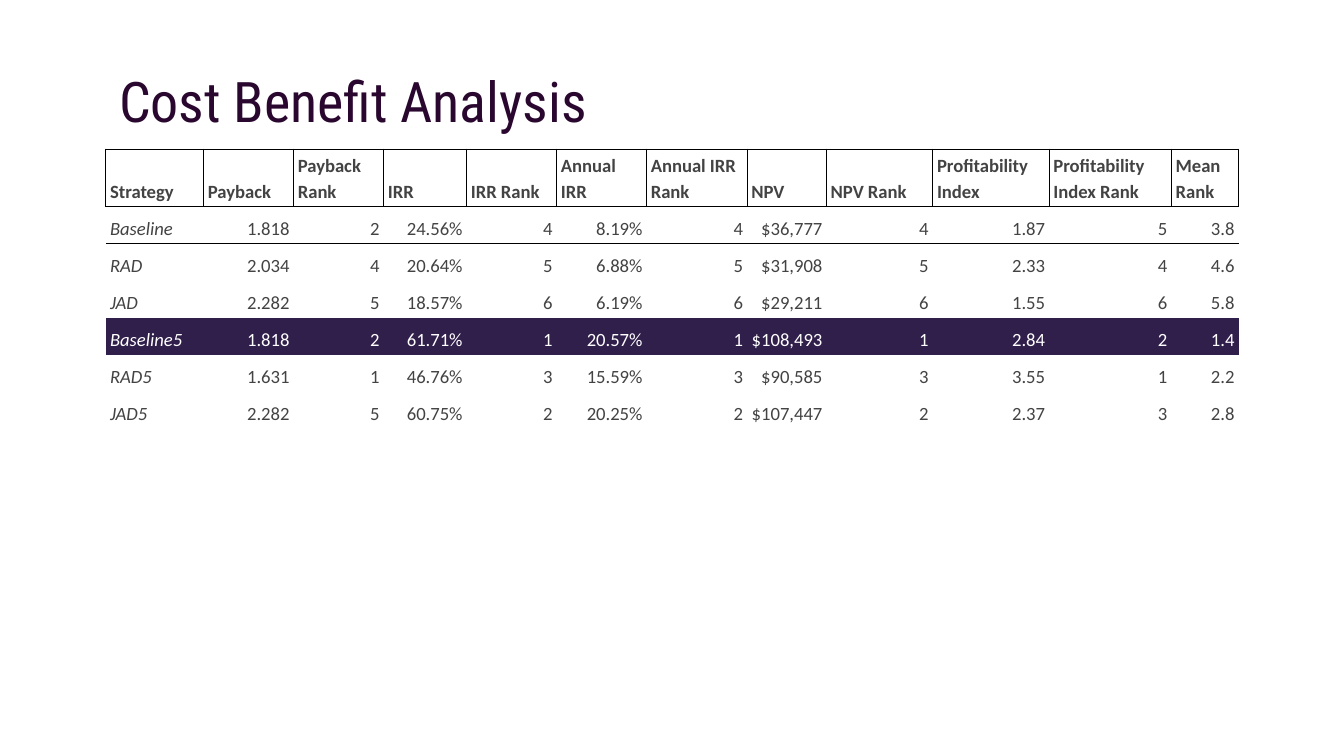
from lxml.etree import SubElement
from pptx import Presentation
from pptx.dml.color import RGBColor
from pptx.enum.text import MSO_ANCHOR, MSO_AUTO_SIZE, PP_ALIGN
from pptx.oxml.ns import qn
from pptx.util import Cm, Pt

NO_STYLE = "{2D5ABB26-0587-4C30-8999-92F81FD0307C}"
COLUMN_WIDTHS = [1.85, 1.7, 1.7, 1.57, 1.7, 1.7, 1.9, 1.5, 2.01, 2.2, 2.31, 1.27]
HEADER_HEIGHT, ROW_HEIGHT = 0.64, 0.7
HIGHLIGHTED = "Baseline5"
ROWS = [
    ["Strategy", "Payback", "Payback Rank", "IRR", "IRR Rank", "Annual IRR",
     "Annual IRR Rank", "NPV", "NPV Rank", "Profitability Index",
     "Profitability Index Rank", "Mean Rank"],
    ["Baseline", "1.818", "2", "24.56%", "4", "8.19%", "4", "$36,777", "4", "1.87", "5", "3.8"],
    ["RAD", "2.034", "4", "20.64%", "5", "6.88%", "5", "$31,908", "5", "2.33", "4", "4.6"],
    ["JAD", "2.282", "5", "18.57%", "6", "6.19%", "6", "$29,211", "6", "1.55", "6", "5.8"],
    ["Baseline5", "1.818", "2", "61.71%", "1", "20.57%", "1", "$108,493", "1", "2.84", "2", "1.4"],
    ["RAD5", "1.631", "1", "46.76%", "3", "15.59%", "3", "$90,585", "3", "3.55", "1", "2.2"],
    ["JAD5", "2.282", "5", "60.75%", "2", "20.25%", "2", "$107,447", "2", "2.37", "3", "2.8"],
]


def color(hex_string):
    return RGBColor.from_string(hex_string)


def format_text(paragraph, font_name, size, hex_color, bold=False, italic=False):
    for run in paragraph.runs:
        font = run.font
        font.name, font.size = font_name, Pt(size)
        font.bold, font.italic = bold, italic
        font.color.rgb = color(hex_color)


def add_borders(cell, sides):
    """Draw thin black lines on the sides, named in the order L, R, T, B."""
    properties = cell._tc.get_or_add_tcPr()
    for side in sides:
        line = SubElement(properties, qn(f"a:ln{side}"), w=str(Pt(0.75)))
        fill = SubElement(line, qn("a:solidFill"))
        SubElement(fill, qn("a:srgbClr"), val="000000")


def place_title(slide, left, top, width, height):
    title = slide.shapes.title
    title.left, title.top, title.width, title.height = left, top, width, height
    frame = title.text_frame
    frame.text = "Cost Benefit Analysis"
    frame.word_wrap = True
    frame.auto_size = MSO_AUTO_SIZE.NONE
    frame.vertical_anchor = MSO_ANCHOR.TOP
    frame.margin_left = frame.margin_right = Cm(0.25)
    frame.margin_top = frame.margin_bottom = Cm(0.25)
    paragraph = frame.paragraphs[0]
    paragraph.alignment = PP_ALIGN.LEFT
    paragraph.line_spacing = 1.0
    format_text(paragraph, "Roboto Condensed", 30, "2A072F")


def fill_cell(cell, text, row_index, column_index, highlighted):
    is_header = row_index == 0
    is_label = column_index == 0
    cell.margin_left = cell.margin_right = Cm(0.08)
    cell.margin_top = cell.margin_bottom = Cm(0.05)
    cell.vertical_anchor = MSO_ANCHOR.BOTTOM

    # Borders come before the fill in the cell properties
    if is_header:
        add_borders(cell, "LRTB")
    elif row_index == 1:
        add_borders(cell, "TB")
    if highlighted:
        cell.fill.solid()
        cell.fill.fore_color.rgb = color("301E4B")
    else:
        cell.fill.background()

    cell.text_frame.text = text
    paragraph = cell.text_frame.paragraphs[0]
    paragraph.line_spacing = 1.15
    paragraph.alignment = PP_ALIGN.LEFT if is_header or is_label else PP_ALIGN.RIGHT
    format_text(paragraph, "Calibri", 10, "FFFFFF" if highlighted else "434343",
                bold=is_header, italic=is_label and not is_header)


def place_strategy_table(slide, left, top):
    width = Cm(sum(COLUMN_WIDTHS))
    height = Cm(HEADER_HEIGHT + ROW_HEIGHT * (len(ROWS) - 1))
    shape = slide.shapes.add_table(len(ROWS), len(COLUMN_WIDTHS), left, top, width, height)
    table = shape.table
    table.horz_banding = False
    table._tbl.tblPr.find(qn("a:tableStyleId")).text = NO_STYLE
    for column, column_width in zip(table.columns, COLUMN_WIDTHS):
        column.width = Cm(column_width)
    for row_index, values in enumerate(ROWS):
        table.rows[row_index].height = Cm(ROW_HEIGHT if row_index else HEADER_HEIGHT)
        for column_index, text in enumerate(values):
            fill_cell(table.cell(row_index, column_index), text, row_index,
                      column_index, values[0] == HIGHLIGHTED)


def main():
    presentation = Presentation()
    presentation.slide_width, presentation.slide_height = Cm(25.4), Cm(14.29)
    slide = presentation.slides.add_slide(presentation.slide_layouts[5])
    place_title(slide, Cm(2), Cm(1), Cm(21.4), Cm(1.6))
    place_strategy_table(slide, Cm(2), Cm(2.82))
    presentation.save("out.pptx")


if __name__ == "__main__":
    main()
